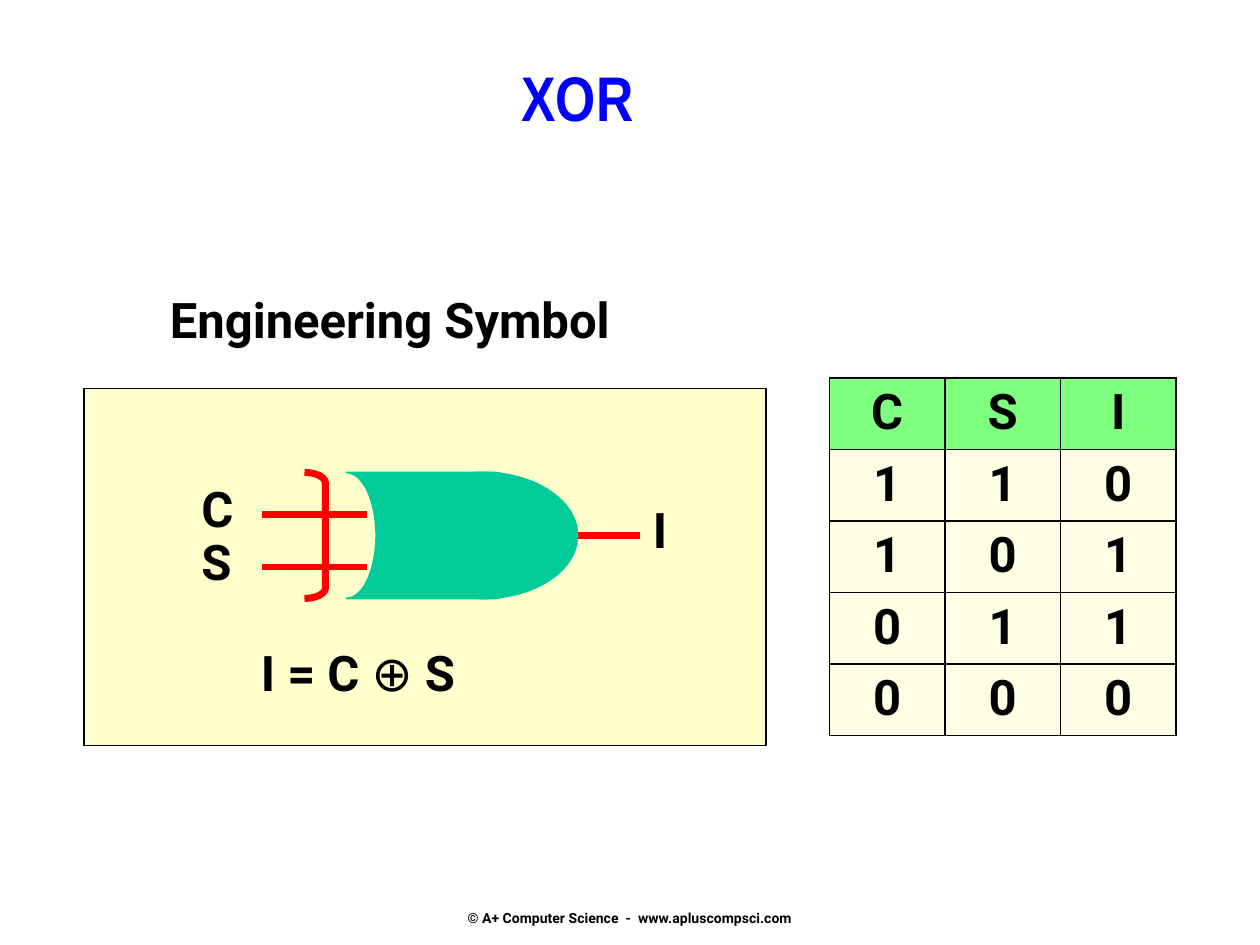
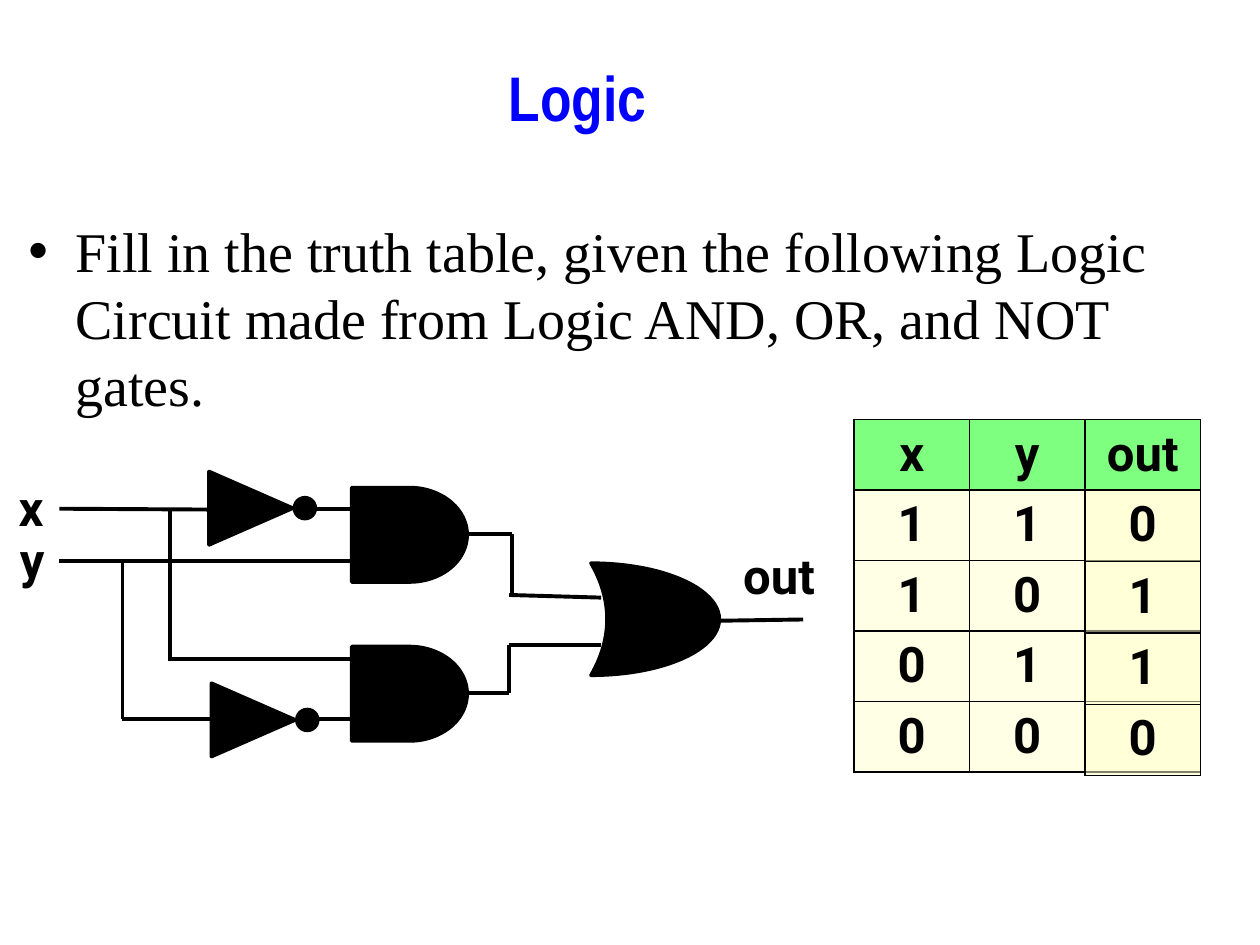
import pptx
import pptx.dml.color
import pptx.enum.shapes
import pptx.enum.text
import pptx.oxml
import pptx.oxml.ns
import pptx.util
from lxml import etree

Pt = pptx.util.Pt
qn = pptx.oxml.ns.qn
SHAPE = pptx.enum.shapes.MSO_SHAPE
ALIGN = pptx.enum.text.PP_ALIGN
ANCHOR = pptx.enum.text.MSO_ANCHOR
AUTO_SIZE = pptx.enum.text.MSO_AUTO_SIZE

COLORS = {
    "black": "000000",
    "title": "0000FF",
    "wire": "FF0000",
    "gate": "00CC99",
    "cream": "FFFFCC",
    "header": "00FF00",
}
LABEL_FONT = "Roboto"
TITLE_FONT = "Arial Narrow"
BODY_FONT = "Times New Roman"
TITLE_LAYOUT, LIST_LAYOUT = 5, 1
COLUMN_WIDTH = 66
LABEL_HEIGHT = 41


def rgb(name):
    return pptx.dml.color.RGBColor.from_string(COLORS[name])


def write(para, text, font=LABEL_FONT, size=28, color="black", bold=True):
    span = para.add_run()
    span.text = text
    span.font.name = font
    span.font.size = Pt(size)
    span.font.bold = bold
    span.font.color.rgb = rgb(color)


class Painter:
    """Draws styled elements on the current slide; lengths are in points."""

    def __init__(self):
        self.deck = pptx.Presentation()
        self.deck.slide_width, self.deck.slide_height = Pt(720), Pt(540)
        self.slide = None

    def start_slide(self, layout, title):
        self.slide = self.deck.slides.add_slide(self.deck.slide_layouts[layout])
        para = self.place(self.slide.shapes.title, 138, 30, 384, 84)
        para.alignment = ALIGN.CENTER
        write(para, title, font=TITLE_FONT, size=36, color="title")

    def place(self, box, left, top, width, height):
        """Move a placeholder and return its first paragraph."""
        box.left, box.top, box.width, box.height = map(Pt, (left, top, width, height))
        frame = box.text_frame
        frame.vertical_anchor = ANCHOR.TOP
        frame.auto_size = AUTO_SIZE.NONE
        return frame.paragraphs[0]

    def bullet(self, text, left, top, width, height):
        para = self.place(self.slide.placeholders[1], left, top, width, height)
        properties = para._p.get_or_add_pPr()
        properties.set("marL", str(Pt(27)))
        properties.set("indent", str(-Pt(27)))
        etree.SubElement(properties, qn("a:buChar"), char="•")
        para.space_before = Pt(0)
        para.line_spacing = Pt(38.3)
        write(para, text, font=BODY_FONT, size=32, bold=False)

    def label(self, text, left, top, width, height=LABEL_HEIGHT, align=ALIGN.LEFT, **style):
        box = self.slide.shapes.add_textbox(*map(Pt, (left, top, width, height)))
        box.text_frame.word_wrap = False
        box.text_frame.auto_size = AUTO_SIZE.SHAPE_TO_FIT_TEXT
        para = box.text_frame.paragraphs[0]
        para.alignment = align
        if text:
            write(para, text, **style)
        return para

    def shape(self, kind, left, top, width, height, fill="black", line="black",
              weight=2, turn=0, flip=False, adjust=None):
        shape = self.slide.shapes.add_shape(kind, *map(Pt, (left, top, width, height)))
        shape.shadow.inherit = False
        if fill:
            shape.fill.solid()
            shape.fill.fore_color.rgb = rgb(fill)
        else:
            shape.fill.background()
        shape.line.color.rgb = rgb(line)
        shape.line.width = Pt(weight)
        shape.rotation = turn
        if flip:
            shape._element.spPr.find(qn("a:xfrm")).set("flipH", "1")
        if adjust is not None:
            shape.adjustments[0] = adjust

    def wire(self, x1, y1, x2, y2, color="black", weight=2.25):
        wire = self.slide.shapes.add_connector(
            pptx.enum.shapes.MSO_CONNECTOR.STRAIGHT, *map(Pt, (x1, y1, x2, y2)))
        wire.line.color.rgb = rgb(color)
        wire.line.width = Pt(weight)
        etree.SubElement(wire._element.spPr, qn("a:effectLst"))

    def table(self, rows, left, top, row_height, has_header=True):
        columns = len(rows[0])
        table = self.slide.shapes.add_table(
            len(rows), columns, Pt(left), Pt(top),
            Pt(COLUMN_WIDTH * columns), Pt(row_height * len(rows))).table
        table.first_row = table.horz_banding = False
        for r, row in enumerate(rows):
            table.rows[r].height = Pt(row_height)
            for c, text in enumerate(row):
                color = "header" if has_header and r == 0 else "cream"
                self.cell(table.cell(r, c), text, color)

    def cell(self, cell, text, color):
        properties = cell._tc.get_or_add_tcPr()
        for side in ("lnL", "lnR", "lnT", "lnB"):
            border = etree.SubElement(properties, qn("a:" + side), w=str(Pt(1)))
            paint = etree.SubElement(border, qn("a:solidFill"))
            etree.SubElement(paint, qn("a:srgbClr"), val=COLORS["black"])
        cell.fill.solid()
        cell.fill.fore_color.rgb = rgb(color)
        tint = properties.find(qn("a:solidFill")).find(qn("a:srgbClr"))
        etree.SubElement(tint, qn("a:alpha"), val="50000")
        para = cell.text_frame.paragraphs[0]
        para.alignment = ALIGN.CENTER
        if text:
            write(para, text)


def xor_slide(painter):
    painter.start_slide(TITLE_LAYOUT, "XOR")
    painter.label("© A+ Computer Science  -  www.apluscompsci.com",
                  246, 516, 228, 17, align=ALIGN.CENTER, size=8)
    painter.table(["CSI", "110", "101", "011", "000"], 474, 216, 40.8)
    painter.shape(SHAPE.RECTANGLE, 48, 222, 390, 204, fill="cream", weight=1)

    for x1, x2, y in ((150, 210, 294), (150, 210, 324), (312, 366, 306)):
        painter.wire(x1, y, x2, y, color="wire", weight=4)
    painter.label("C", 108, 270, 33)
    painter.label("S", 108, 300, 33)
    painter.label("I", 366, 282, 28)
    painter.label("Engineering Symbol", 90, 162, 295)

    gate = {"fill": "gate", "line": "gate", "weight": 1}
    painter.shape(SHAPE.FLOWCHART_STORED_DATA, 198, 270, 102, 72, flip=True, **gate)
    painter.shape(SHAPE.OVAL, 222, 270, 108, 72, **gate)
    painter.shape(SHAPE.RIGHT_BRACKET, 174, 270, 12, 72,
                  fill=None, line="wire", weight=4, adjust=0.5)

    equation = painter.label("", 142, 363.6, 143)
    for text, bold in (("I = C ", True), ("⊕", False), (" S", True)):
        write(equation, text, bold=bold)


def logic_slide(painter):
    painter.start_slide(LIST_LAYOUT, "Logic")
    painter.bullet("Fill in the truth table, given the following Logic Circuit "
                   "made from Logic AND, OR, and NOT gates.", 9, 120, 702, 420)

    for top in (278.6, 369.4):
        painter.shape(SHAPE.FLOWCHART_DELAY, 201, top, 66, 54)
    painter.shape(SHAPE.MOON, 337.7, 321.8, 73.4, 64.1, flip=True, adjust=0.875)
    for left, top in ((122.4, 266.4), (123.8, 387.4)):
        painter.shape(SHAPE.ISOSCELES_TRIANGLE, left, top, 42, 48, turn=90, adjust=0.5)
        painter.shape(SHAPE.OVAL, left + 45.8, top + 18, 12, 12)

    input_wires = [
        (34, 290.7, 119.5, 291.2), (180, 290.9, 201, 290.9),
        (34, 320.6, 201, 320.6),
        (97, 290.9, 97, 376.6), (96, 376.6, 201.5, 376.6),
        (70, 320.6, 70, 411), (70, 411, 122, 411), (181, 411, 201.5, 411),
    ]
    output_wires = [
        (266.5, 305.3, 292.5, 305.3), (292.5, 305.3, 292.5, 340),
        (291, 340, 343.5, 341.5),
        (267, 396, 291, 396), (291, 368.8, 291, 396), (291, 368.8, 343.5, 368.8),
        (411.5, 354.7, 459, 354),
    ]
    for ends in input_wires + output_wires:
        painter.wire(*ends)

    inputs = ["11", "10", "01", "00"]
    painter.table([["x", "y", "out"]] + [[x, y, ""] for x, y in inputs], 488, 239.8, 40.3)
    painter.table("0110", 620, 280.1, 40.8, has_header=False)
    painter.label("x", 3.6, 269.3, 32)
    painter.label("y", 4.3, 298.8, 31)
    painter.label("out", 417.6, 308.2, 62)


def main():
    painter = Painter()
    xor_slide(painter)
    logic_slide(painter)
    painter.deck.save("out.pptx")


if __name__ == "__main__":
    main()
